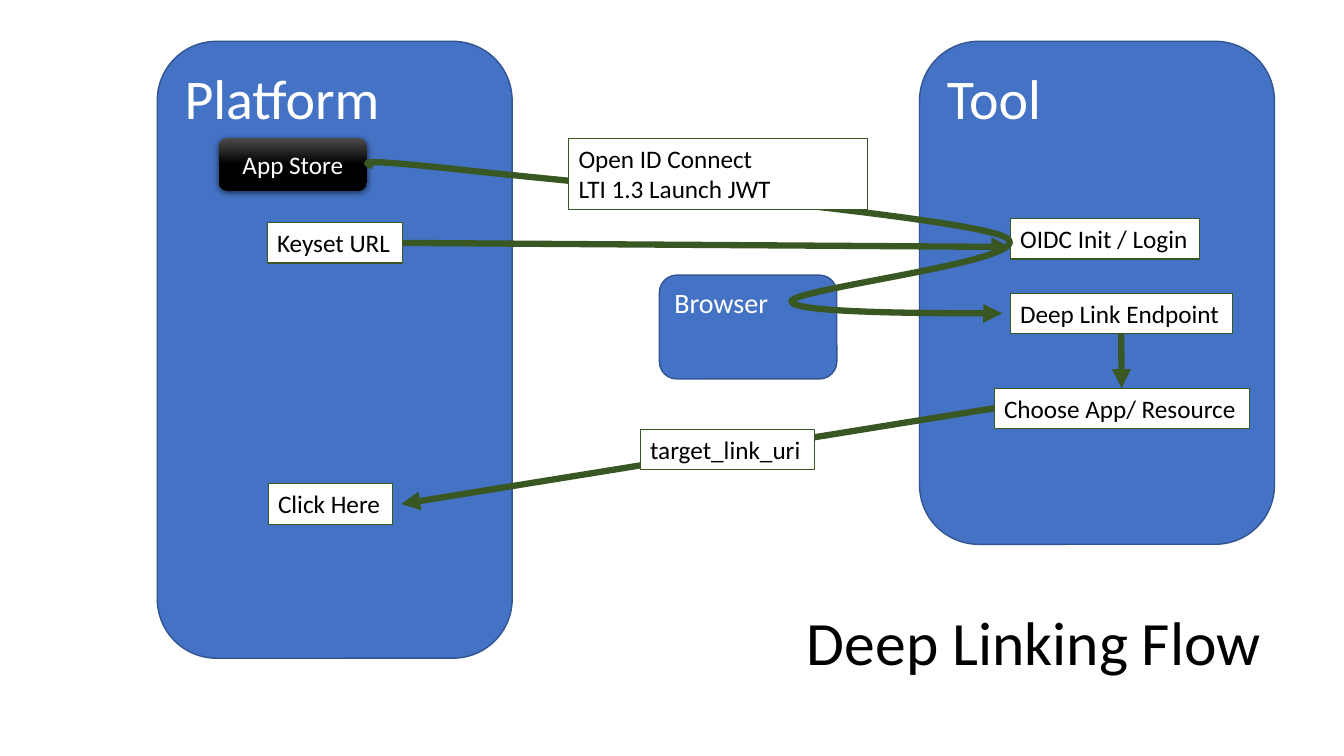
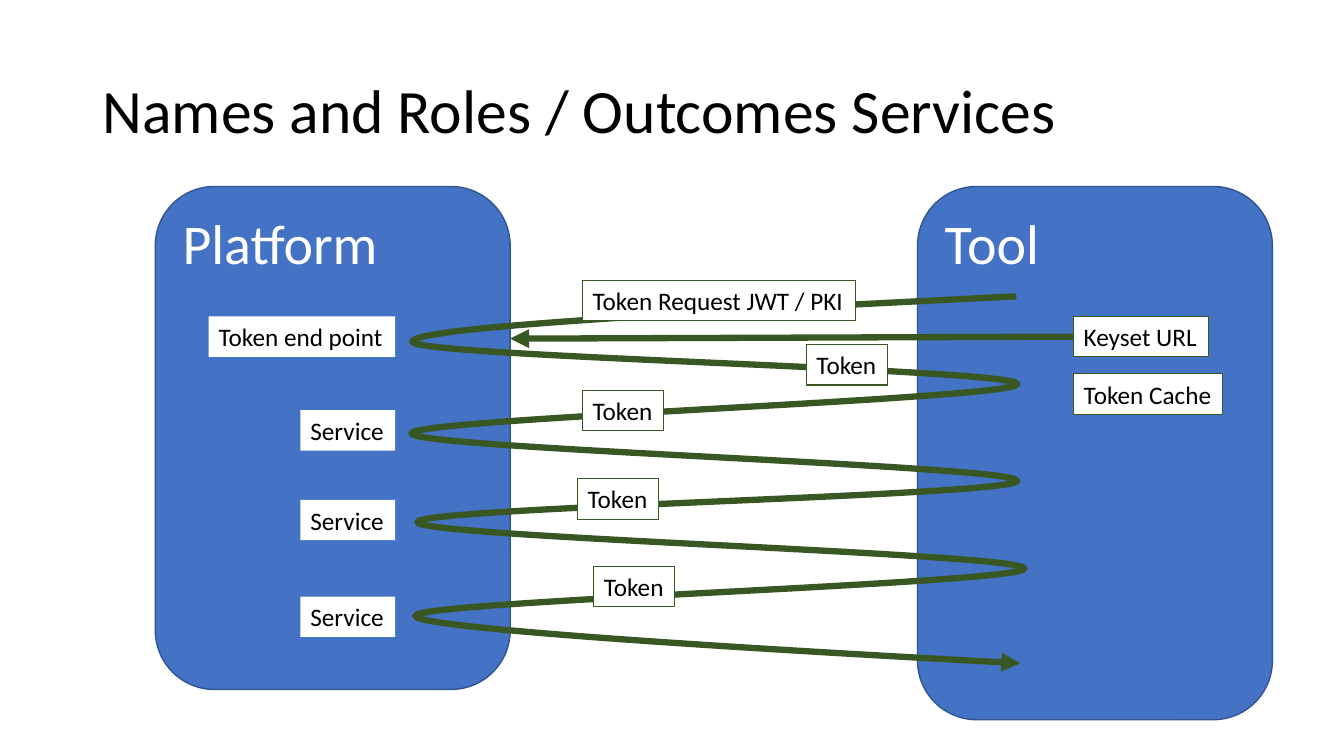
from pptx import Presentation
from pptx.dml.color import RGBColor
from pptx.enum.shapes import MSO_CONNECTOR, MSO_SHAPE
from pptx.enum.text import MSO_ANCHOR, MSO_AUTO_SIZE, PP_ALIGN
from pptx.oxml.ns import qn
from pptx.util import Inches, Pt
from lxml import etree

RECT, ROUNDED = MSO_SHAPE.RECTANGLE, MSO_SHAPE.ROUNDED_RECTANGLE
STRAIGHT = MSO_CONNECTOR.STRAIGHT
TOP, MIDDLE = MSO_ANCHOR.TOP, MSO_ANCHOR.MIDDLE
LEFT, CENTER, RIGHT = PP_ALIGN.LEFT, PP_ALIGN.CENTER, PP_ALIGN.RIGHT
FIT, NO_FIT = MSO_AUTO_SIZE.SHAPE_TO_FIT_TEXT, MSO_AUTO_SIZE.NONE

BLUE = RGBColor(0x44, 0x72, 0xC4)
BLUE_EDGE = RGBColor(0x32, 0x54, 0x91)
GREEN = RGBColor(0x38, 0x57, 0x23)
GRAY = RGBColor(0x4B, 0x4B, 0x4B)
BLACK = RGBColor(0, 0, 0)
WHITE = RGBColor(0xFF, 0xFF, 0xFF)
FONT = "Calibri"

# Shared measures, in inches
PANEL_W, TOOL_OFFSET = 3.52, 7.56
LABEL_H = 0.4
BEND = 0.15  # vertical reach of a zigzag turn
SITE_TOP, SITE_LEFT, SITE_BOTTOM, SITE_RIGHT = range(4)

LABEL_W = {
    "Keyset URL": 1.34, "Deep Link Endpoint": 2.2, "OIDC Init / Login": 1.88,
    "Choose App/ Resource": 2.53, "target_link_uri": 1.73, "Click Here": 1.23,
    "Token Request JWT / PKI": 2.71, "Token end point": 1.85, "Service": 0.94,
    "Token": 0.8, "Token Cache": 1.48,
}

# Deep linking: label -> left, top
LINKING_TITLE = ("Deep Linking Flow", (6.54, 5.68, 6.07, 1.45), RIGHT)
LINKING_LABELS = {
    "Keyset URL": (2.65, 2.21),
    "OIDC Init / Login": (10.02, 2.17),
    "Deep Link Endpoint": (10.02, 2.91),
    "Choose App/ Resource": (9.86, 3.85),
    "Click Here": (2.66, 4.8),
}
BROWSER = ("Browser", (6.54, 2.73, 1.76, 1.03))
APP_STORE = ("App Store", (2.17, 1.37, 1.47, 0.52))
LAUNCH = ("Open ID Connect\nLTI 1.3 Launch JWT", (5.64, 1.37, 2.96, 0.71))
LAUNCH_START = (3.7, 1.65)
LAUNCH_CURVES = [
    ((3.6, 1.61), (3.5, 1.57), (4.54, 1.68)),
    ((5.58, 1.8), (9.39, 2.13), (9.94, 2.34)),
    ((10.49, 2.56), (7.85, 2.86), (7.85, 2.99)),
    ((7.85, 3.11), (9.94, 3.11), (9.94, 3.11)),
]

# Services: text, left, top
SERVICES_TITLE = ("Names and Roles / Outcomes Services",
                  (0.92, 0.4, 11.5, 1.45), LEFT)
ENDPOINT_RIGHT = 3.92
ENDPOINTS = [("Token end point", 3.14), ("Service", 4.07),
             ("Service", 4.96), ("Service", 5.92)]
TOKENS = [("Token Request JWT / PKI", 5.78, 2.78), ("Token", 8, 3.42),
          ("Token", 5.78, 3.87), ("Token", 5.73, 4.75), ("Token", 5.89, 5.62),
          ("Token Cache", 10.65, 3.71)]
ZIGZAG = [(10.08, 2.94), (4.09, 3.39), (10.09, 3.81), (4.08, 4.3),
          (10.09, 4.77), (4.14, 5.18), (10.16, 5.64), (4.12, 6.11),
          (10.12, 6.58)]


def write(shape, text, size, color, align=LEFT, anchor=TOP):
    frame = shape.text_frame
    frame.text = text
    frame.vertical_anchor = anchor
    for paragraph in frame.paragraphs:
        paragraph.alignment = align
        paragraph.font.name = FONT
        paragraph.font.size = Pt(size)
        paragraph.font.color.rgb = color
    return frame


def add_box(slide, kind, place, fill, edge=None, weight=1):
    box = slide.shapes.add_shape(kind, *map(Inches, place))
    box.shadow.inherit = False
    if fill is not None:
        box.fill.solid()
        box.fill.fore_color.rgb = fill
    if edge is None:
        box.line.fill.background()
    else:
        box.line.color.rgb = edge
        box.line.width = Pt(weight)
    return box


def add_panel(slide, text, place, size=40):
    panel = add_box(slide, ROUNDED, place, BLUE, BLUE_EDGE)
    write(panel, text, size, WHITE)


def add_label(slide, text, left, top, edge=GREEN, size=None):
    width, height = size or (LABEL_W[text], LABEL_H)
    label = add_box(slide, RECT, (left, top, width, height), WHITE, edge, 0.75)
    frame = write(label, text, 18, BLACK)
    frame.word_wrap = size is not None
    frame.auto_size = FIT
    return label


def add_title(slide, text, place, align):
    title = slide.shapes.add_textbox(*map(Inches, place))
    frame = write(title, text, 44, BLACK, align, MIDDLE)
    frame.word_wrap = True
    frame.auto_size = NO_FIT
    frame.paragraphs[0].line_spacing = 0.9


def style_arrow(arrow):
    arrow.line.color.rgb = GREEN
    arrow.line.width = Pt(4.5)
    outline = arrow._element.spPr.find(qn("a:ln"))
    etree.SubElement(outline, qn("a:tailEnd"), type="triangle")


def add_arrow(slide, start, end, begin=None, finish=None):
    """begin and finish are optional (shape, site) joints."""
    arrow = slide.shapes.add_connector(STRAIGHT, *map(Inches, start + end))
    if begin:
        arrow.begin_connect(*begin)
    if finish:
        arrow.end_connect(*finish)
    style_arrow(arrow)
    etree.SubElement(arrow._element.spPr, qn("a:effectLst"))


def add_curve(slide, start, curves):
    """Draw an open path through the curve ends, then bend each segment."""
    builder = slide.shapes.build_freeform(*map(Inches, start), scale=1.0)
    builder.add_line_segments(
        [tuple(map(Inches, curve[-1])) for curve in curves], close=False)
    flow = builder.convert_to_shape()
    flow.shadow.inherit = False
    flow.fill.background()
    style_arrow(flow)
    segments = list(flow._element.iter(qn("a:lnTo")))
    for segment, curve in zip(segments, curves):
        bend = etree.Element(qn("a:cubicBezTo"))
        for x, y in curve:
            etree.SubElement(bend, qn("a:pt"), x=str(Inches(x) - flow.left),
                             y=str(Inches(y) - flow.top))
        segment.getparent().replace(segment, bend)


def zigzag_curves(turns):
    curves = []
    last = len(turns) - 2
    for i, ((x0, y0), (x1, y1)) in enumerate(zip(turns, turns[1:])):
        leave = ((x0 + x1) / 2, y0 + BEND) if i == 0 else (x0, y0 + BEND)
        arrive = (x1, y1) if i == last else (x1, y1 - BEND)
        curves.append((leave, arrive, (x1, y1)))
    return curves


def add_app_store(slide):
    text, place = APP_STORE
    store = add_box(slide, ROUNDED, place, None)
    store.fill.gradient()
    store.fill.gradient_angle = 270
    for stop, color, position in zip(store.fill.gradient_stops,
                                     (GRAY, BLACK), (0, 0.5)):
        stop.color.rgb = color
        stop.position = position
    effects = store._element.spPr.find(qn("a:effectLst"))
    shadow = etree.SubElement(effects, qn("a:outerShdw"), blurRad=str(Pt(4.5)),
                              dist=str(Pt(1.5)), dir="5400000", rotWithShape="0")
    tint = etree.SubElement(shadow, qn("a:srgbClr"), val=str(BLACK))
    etree.SubElement(tint, qn("a:alpha"), val="63000")
    write(store, text, 18, WHITE, CENTER, MIDDLE)


def add_sides(slide, left, top, platform_h, tool_h):
    add_panel(slide, "Platform", (left, top, PANEL_W, platform_h))
    add_panel(slide, "Tool", (left + TOOL_OFFSET, top, PANEL_W, tool_h))


def build_linking(slide):
    add_panel(slide, *BROWSER, size=20)
    add_sides(slide, 1.56, 0.41, 6.12, 4.99)
    add_app_store(slide)
    labels = {text: add_label(slide, text, *corner)
              for text, corner in LINKING_LABELS.items()}
    choose = labels["Choose App/ Resource"]

    # Flows, then the labels lying on them
    add_arrow(slide, (3.98, 2.41), (10.02, 2.45),
              begin=(labels["Keyset URL"], SITE_RIGHT))
    add_curve(slide, LAUNCH_START, LAUNCH_CURVES)
    add_arrow(slide, (11.12, 3.31), (11.13, 3.85),
              begin=(labels["Deep Link Endpoint"], SITE_BOTTOM),
              finish=(choose, SITE_TOP))
    add_arrow(slide, (9.86, 4.06), (3.98, 5), begin=(choose, SITE_LEFT))
    text, (left, top, width, height) = LAUNCH
    add_label(slide, text, left, top, size=(width, height))
    add_label(slide, "target_link_uri", 6.35, 4.26)
    add_title(slide, *LINKING_TITLE)


def build_services(slide):
    add_sides(slide, 1.54, 1.85, 4.99, 5.29)
    add_title(slide, *SERVICES_TITLE)
    add_curve(slide, ZIGZAG[0], zigzag_curves(ZIGZAG))
    for text, top in ENDPOINTS:
        add_label(slide, text, ENDPOINT_RIGHT - LABEL_W[text], top, edge=None)
    for token in TOKENS:
        add_label(slide, *token)
    keyset = add_label(slide, "Keyset URL", 10.65, 3.14)
    add_arrow(slide, (10.65, 3.34), (5.06, 3.36), begin=(keyset, SITE_LEFT))


def main():
    deck = Presentation()
    deck.slide_width, deck.slide_height = Inches(13.33), Inches(7.5)
    for build in (build_linking, build_services):
        build(deck.slides.add_slide(deck.slide_layouts[6]))
    deck.save("out.pptx")


if __name__ == "__main__":
    main()
